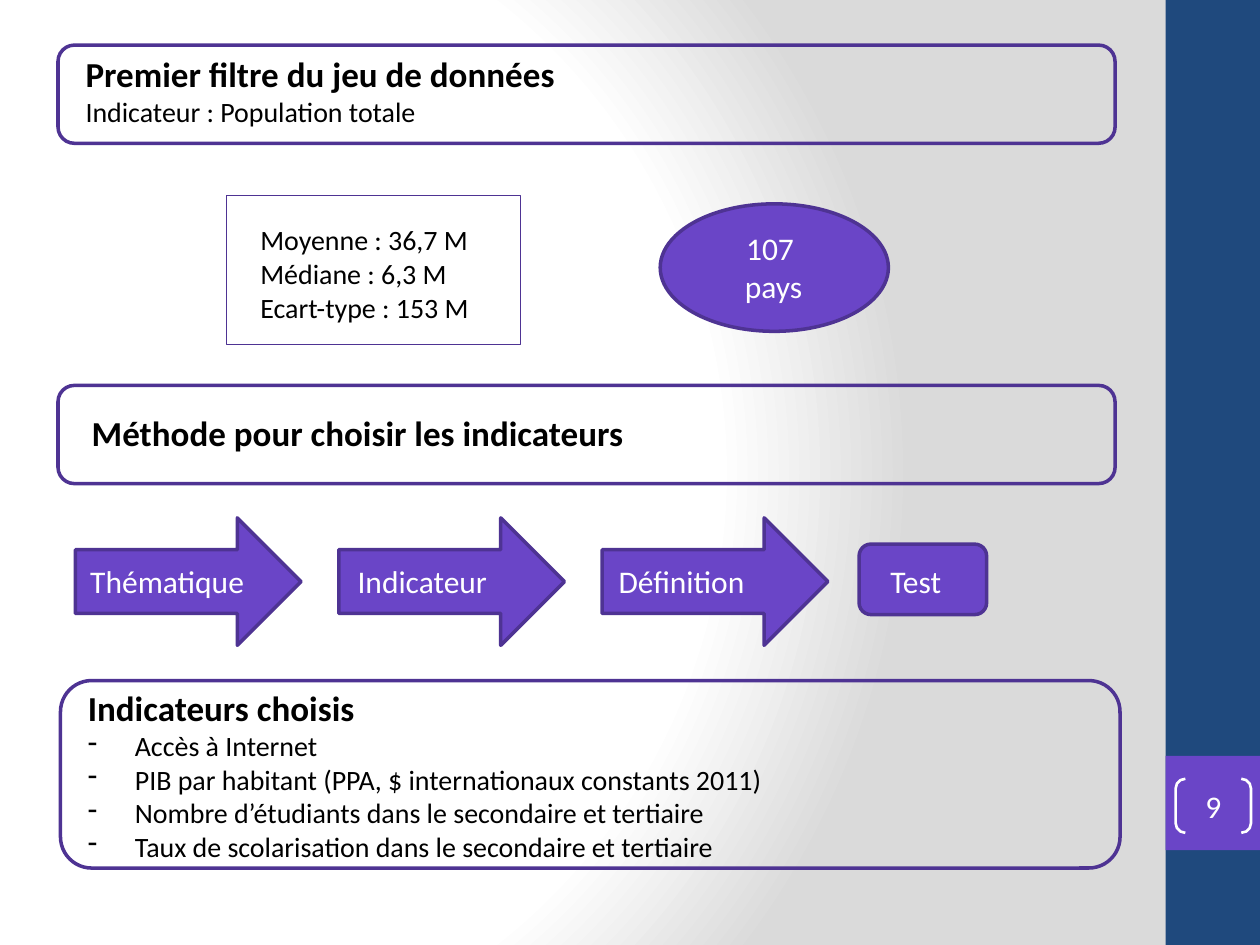
from dataclasses import dataclass

import lxml.etree
import pptx
import pptx.dml.color
import pptx.enum.shapes
import pptx.enum.text
import pptx.oxml.ns
import pptx.util

Cm = pptx.util.Cm
ShapeKind = pptx.enum.shapes.MSO_SHAPE
Anchor = pptx.enum.text.MSO_ANCHOR
Align = pptx.enum.text.PP_ALIGN
qn = pptx.oxml.ns.qn


@dataclass(frozen=True)
class Theme:
    font: str = "Calibri"
    violet: str = "6A45C7"
    outline: str = "4E3393"
    navy: str = "1F497D"
    white: str = "FFFFFF"
    grey: str = "DADADA"
    black: str = "000000"
    heading: int = 20
    label: int = 18
    body: int = 16
    thick: float = 2
    medium: float = 1.5
    thin: float = 0.75


@dataclass(frozen=True)
class Box:
    """Left, top, width and height in centimetres."""
    left: float
    top: float
    width: float
    height: float

    def lengths(self) -> tuple:
        return Cm(self.left), Cm(self.top), Cm(self.width), Cm(self.height)


@dataclass(frozen=True)
class Line:
    text: str
    size: int
    color: str = "000000"
    bold: bool = False
    align: Align = Align.LEFT
    bullet: bool = False


@dataclass(frozen=True)
class Step:
    label: str
    text_left: float
    text_width: float


THEME = Theme()
STEPS = [
    Step("Thématique", 1.57, 4.04),
    Step("Indicateur", 6.96, 3.2),
    Step("Définition", 12.22, 3.2),
]
ARROW_LEFT, ARROW_PITCH, ARROW_TOP = 1.52, 5.31, 10.44
LABEL_TOP, LABEL_HEIGHT = 11.2, 1.02
INDICATORS = [
    "Accès à Internet",
    "PIB par habitant (PPA, $ internationaux constants 2011)",
    "Nombre d’étudiants dans le secondaire et tertiaire",
    "Taux de scolarisation dans le secondaire et tertiaire",
]


def rgb(color: str) -> pptx.dml.color.RGBColor:
    return pptx.dml.color.RGBColor.from_string(color)


def paint_background(slide) -> None:
    """Fill the background with a circular white to grey gradient."""
    slide.background.fill.gradient()
    gradient = slide.element.find(".//" + qn("a:gradFill"))
    for child in list(gradient):
        gradient.remove(child)
    stops = lxml.etree.SubElement(gradient, qn("a:gsLst"))
    for percent, color in [(0, THEME.white), (75, THEME.white), (100, THEME.grey)]:
        stop = lxml.etree.SubElement(stops, qn("a:gs"), pos=str(percent * 1000))
        lxml.etree.SubElement(stop, qn("a:srgbClr"), val=color)
    shade = lxml.etree.SubElement(gradient, qn("a:path"), path="circle")
    lxml.etree.SubElement(shade, qn("a:fillToRect"),
                          l="20000", t="50000", r="100000", b="50000")


def add_shape(slide, kind: ShapeKind, box: Box, fill: str | None = None,
              line: str | None = THEME.outline, width: float = THEME.thick):
    shape = slide.shapes.add_shape(kind, *box.lengths())
    shape.shadow.inherit = False
    if fill:
        shape.fill.solid()
        shape.fill.fore_color.rgb = rgb(fill)
    else:
        shape.fill.background()
    if line:
        shape.line.color.rgb = rgb(line)
        shape.line.width = pptx.util.Pt(width)
    else:
        shape.line.fill.background()
    return shape


def add_dash(paragraph) -> None:
    properties = paragraph._p.get_or_add_pPr()
    indent = Cm(0.95)
    properties.set("marL", str(indent))
    properties.set("indent", str(-indent))
    lxml.etree.SubElement(properties, qn("a:buChar"), char="-")


def write_lines(text_frame, lines: list[Line]) -> None:
    text_frame.text = "\n".join(line.text for line in lines)
    text_frame.word_wrap = True
    for paragraph, line in zip(text_frame.paragraphs, lines):
        paragraph.alignment = line.align
        if line.bullet:
            add_dash(paragraph)
        for run in paragraph.runs:
            run.font.name = THEME.font
            run.font.size = pptx.util.Pt(line.size)
            run.font.bold = line.bold
            run.font.color.rgb = rgb(line.color)


def add_text(slide, box: Box, lines: list[Line]) -> None:
    text_frame = slide.shapes.add_textbox(*box.lengths()).text_frame
    write_lines(text_frame, lines)
    text_frame.auto_size = pptx.enum.text.MSO_AUTO_SIZE.SHAPE_TO_FIT_TEXT


def white_label(text: str, align: Align = Align.LEFT) -> Line:
    return Line(text, THEME.label, THEME.white, align=align)


def heading(text: str) -> Line:
    return Line(text, THEME.heading, bold=True)


def draw_sidebar(slide) -> None:
    add_shape(slide, ShapeKind.RECTANGLE, Box(23.5, 0, 1.9, 19.05), THEME.navy, None)
    add_shape(slide, ShapeKind.RECTANGLE, Box(23.5, 15.24, 1.9, 1.9), THEME.violet, None)
    number = add_shape(slide, ShapeKind.DOUBLE_BRACKET, Box(23.7, 15.7, 1.52, 1.09),
                       line=THEME.white, width=THEME.medium)
    number.adjustments[0] = 0.18
    text_frame = number.text_frame
    write_lines(text_frame, [white_label("9", Align.CENTER)])
    text_frame.vertical_anchor = Anchor.MIDDLE
    text_frame.margin_left = text_frame.margin_right = 0
    text_frame.margin_top = text_frame.margin_bottom = 0


def draw_filter(slide) -> None:
    add_shape(slide, ShapeKind.ROUNDED_RECTANGLE, Box(1.17, 0.91, 21.31, 1.98))
    title = slide.shapes.title
    title.left, title.top, title.width, title.height = Box(1.47, 0.94, 20.4, 1.8).lengths()
    write_lines(title.text_frame, [heading("Premier filtre du jeu de données"),
                                   Line("Indicateur : Population totale", THEME.body)])
    title.text_frame.vertical_anchor = Anchor.TOP

    add_shape(slide, ShapeKind.RECTANGLE, Box(4.57, 3.94, 5.92, 3), width=THEME.thin)
    statistics = ["Moyenne : 36,7 M", "Médiane : 6,3 M", "Ecart-type : 153 M"]
    add_text(slide, Box(5, 4.37, 9.02, 2.31),
             [Line(text, THEME.body) for text in statistics])
    add_shape(slide, ShapeKind.OVAL, Box(13.31, 4.11, 4.6, 2.57), THEME.violet)
    add_text(slide, Box(13.69, 4.5, 3.81, 1.8),
             [white_label(text, Align.CENTER) for text in ("107 ", "pays")])


def draw_method(slide) -> None:
    add_shape(slide, ShapeKind.ROUNDED_RECTANGLE, Box(1.17, 7.77, 21.31, 1.98))
    add_text(slide, Box(1.6, 8.18, 20.4, 1.12),
             [heading("Méthode pour choisir les indicateurs")])
    for index, step in enumerate(STEPS):
        arrow = Box(ARROW_LEFT + index * ARROW_PITCH, ARROW_TOP, 4.55, 2.57)
        add_shape(slide, ShapeKind.RIGHT_ARROW, arrow, THEME.violet)
        add_text(slide, Box(step.text_left, LABEL_TOP, step.text_width, LABEL_HEIGHT),
                 [white_label(step.label)])
    add_shape(slide, ShapeKind.ROUNDED_RECTANGLE, Box(17.32, 10.97, 2.57, 1.42), THEME.violet)
    add_text(slide, Box(17.7, LABEL_TOP, 2.69, LABEL_HEIGHT), [white_label("Test")])


def draw_indicators(slide) -> None:
    add_shape(slide, ShapeKind.ROUNDED_RECTANGLE, Box(1.22, 13.72, 21.36, 3.78))
    bullets = [Line(text, THEME.body, bullet=True) for text in INDICATORS]
    add_text(slide, Box(1.52, 13.72, 20.4, 3.84), [heading("Indicateurs choisis"), *bullets])


def main() -> None:
    presentation = pptx.Presentation()
    presentation.slide_width, presentation.slide_height = Cm(25.4), Cm(19.05)
    slide = presentation.slides.add_slide(presentation.slide_layouts[5])
    paint_background(slide)
    draw_sidebar(slide)
    draw_filter(slide)
    draw_method(slide)
    draw_indicators(slide)
    presentation.save("out.pptx")


if __name__ == "__main__":
    main()
